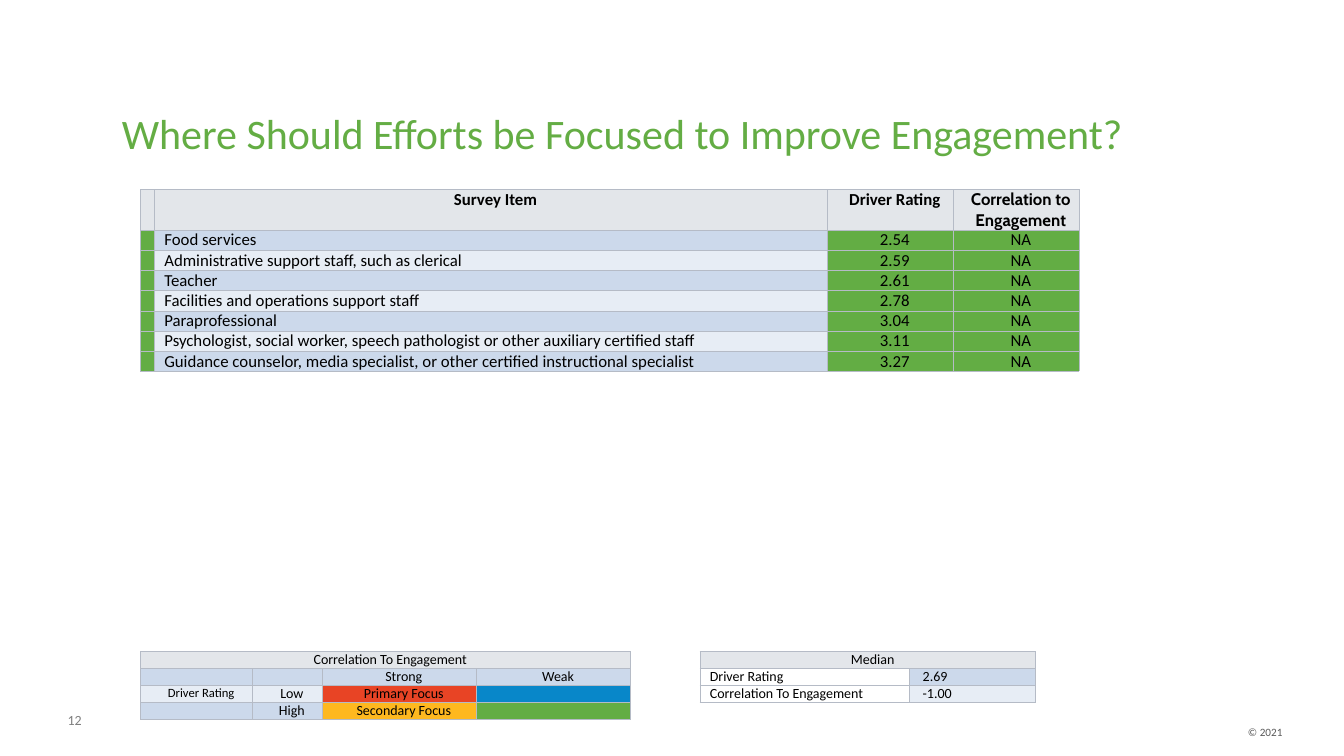
from lxml import etree
from pptx import Presentation
from pptx.dml.color import RGBColor
from pptx.enum.text import MSO_ANCHOR, PP_ALIGN
from pptx.oxml.ns import qn
from pptx.util import Inches, Pt

LEFT, MID, RIGHT = PP_ALIGN.LEFT, PP_ALIGN.CENTER, PP_ALIGN.RIGHT
TOP, CENTER = MSO_ANCHOR.TOP, MSO_ANCHOR.MIDDLE
BLACK = RGBColor(0x00, 0x00, 0x00)
DARK = RGBColor(0x59, 0x59, 0x59)
GRAY = RGBColor(0x7F, 0x7F, 0x7F)
LEAF = RGBColor(0x64, 0xAD, 0x44)
GREEN = RGBColor(0x63, 0xAD, 0x44)
RED = RGBColor(0xE8, 0x44, 0x25)
BLUE = RGBColor(0x08, 0x87, 0xC9)
GOLD = RGBColor(0xFE, 0xB8, 0x1F)
HEAD = RGBColor(0xE3, 0xE6, 0xEA)
BAND = RGBColor(0xCC, 0xD9, 0xEB)
PALE = RGBColor(0xE7, 0xED, 0xF5)
EDGE = "B5BBC6"


def put(par, text, size, color=BLACK, align=LEFT, bold=False, font="Calibri"):
    """Write one styled run; an empty paragraph only gets its size."""
    par.alignment = align
    if not text:
        etree.SubElement(par._p, qn("a:endParaRPr"), sz=str(size * 100))
        return
    run = par.add_run()
    run.text = text
    run.font.size = Pt(size)
    run.font.name = font
    run.font.bold = bold
    run.font.color.rgb = color


def grid(left, top, cols, rows):
    """Add a plain table with thin borders and tight cell margins."""
    frame = slide.shapes.add_table(len(rows), len(cols), Inches(left), Inches(top),
                                   Inches(sum(cols)), Inches(sum(rows)))
    table = frame.table
    table.first_row = table.horz_banding = False
    for col, width in zip(table.columns, cols):
        col.width = Inches(width)
    for row, height in zip(table.rows, rows):
        row.height = Inches(height)
    for cell in table.iter_cells():
        cell.margin_left = Inches(0.1)
        cell.margin_right = cell.margin_top = cell.margin_bottom = 0
        for side in ("a:lnL", "a:lnR", "a:lnT", "a:lnB"):
            line = etree.SubElement(cell._tc.get_or_add_tcPr(), qn(side), w="635")
            fill = etree.SubElement(line, qn("a:solidFill"))
            etree.SubElement(fill, qn("a:srgbClr"), val=EDGE)
        cell.fill.background()
    return table


deck = Presentation()
deck.slide_width, deck.slide_height = Inches(13.33), Inches(7.5)
slide = deck.slides.add_slide(deck.slide_layouts[6])

# Title, page number and copyright
labels = [
    ("© 2021", (12.18, 7.15, 0.64, 0.24), 8, DARK, RIGHT, TOP, (0.1, 0.05)),
    ("12", (0.22, 7.06, 0.59, 0.21), 10, GRAY, RIGHT, TOP, (0, 0)),
    ("Where Should Efforts be Focused to Improve Engagement?",
     (1.11, 1.02, 11.68, 0.6), 30, LEAF, LEFT, CENTER, (0.1, 0.05)),
]
for text, box, size, color, align, anchor, (side, edge) in labels:
    frame = slide.shapes.add_textbox(*[Inches(n) for n in box]).text_frame
    frame.word_wrap = True
    frame.vertical_anchor = anchor
    frame.margin_left = frame.margin_right = Inches(side)
    frame.margin_top = frame.margin_bottom = Inches(edge)
    put(frame.paragraphs[0], text, size, color, align)

# Medians
median = grid(6.94, 6.46, [2.08, 1.25], [0.17] * 3)
head = median.cell(0, 0)
head.merge(median.cell(0, 1))
head.fill.solid()
head.fill.fore_color.rgb = HEAD
put(head.text_frame.paragraphs[0], "Median", 10, align=MID)
put(median.cell(0, 1).text_frame.paragraphs[0], "", 10)
pairs = [("Driver Rating", " 2.69", BAND), ("Correlation To Engagement", " -1.00", PALE)]
for r, (name, value, color) in enumerate(pairs, 1):
    put(median.cell(r, 0).text_frame.paragraphs[0], name, 10)
    cell = median.cell(r, 1)
    cell.fill.solid()
    cell.fill.fore_color.rgb = color
    put(cell.text_frame.paragraphs[0], value, 10)

# Colour key
key = grid(1.39, 6.46, [1.11, 0.69, 1.53, 1.53], [0.17] * 4)
key.cell(0, 0).merge(key.cell(0, 3))
marks = [
    [("Correlation To Engagement", HEAD)] + [("", HEAD)] * 3,
    [("", BAND), ("", BAND), ("Strong", BAND), ("Weak", BAND)],
    [("Driver Rating", PALE), ("Low", PALE), ("Primary Focus", RED), ("", BLUE)],
    [("", BAND), ("High", BAND), ("Secondary Focus", GOLD), ("", GREEN)],
]
for r, row in enumerate(marks):
    for c, (text, color) in enumerate(row):
        cell = key.cell(r, c)
        cell.fill.solid()
        cell.fill.fore_color.rgb = color
        size = 9 if text == "Driver Rating" else 10
        put(cell.text_frame.paragraphs[0], text, size, align=MID)

# Survey items
items = [
    ("Food services", "2.54"),
    ("Administrative support staff, such as clerical", "2.59"),
    ("Teacher", "2.61"),
    ("Facilities and operations support staff", "2.78"),
    ("Paraprofessional", "3.04"),
    ("Psychologist, social worker, speech pathologist or other auxiliary certified staff", "3.11"),
    ("Guidance counselor, media specialist, or other certified instructional specialist", "3.27"),
]
lines = [("", "Survey Item", "Driver Rating", "Correlation to Engagement")]
lines += [("", name, rating, "NA") for name, rating in items]
survey = grid(1.39, 1.88, [0.14, 6.67, 1.25, 1.25], [0.4] + [0.2] * len(items))
for r, line in enumerate(lines):
    band = BAND if r % 2 else PALE
    for c, text in enumerate(line):
        cell = survey.cell(r, c)
        cell.fill.solid()
        cell.fill.fore_color.rgb = HEAD if r == 0 else band if c == 1 else GREEN
        put(cell.text_frame.paragraphs[0], text, 12, bold=r == 0,
            align=LEFT if r and c == 1 else MID,
            font="Cabin" if r == 0 and c == 3 else "Calibri")

deck.save("out.pptx")
